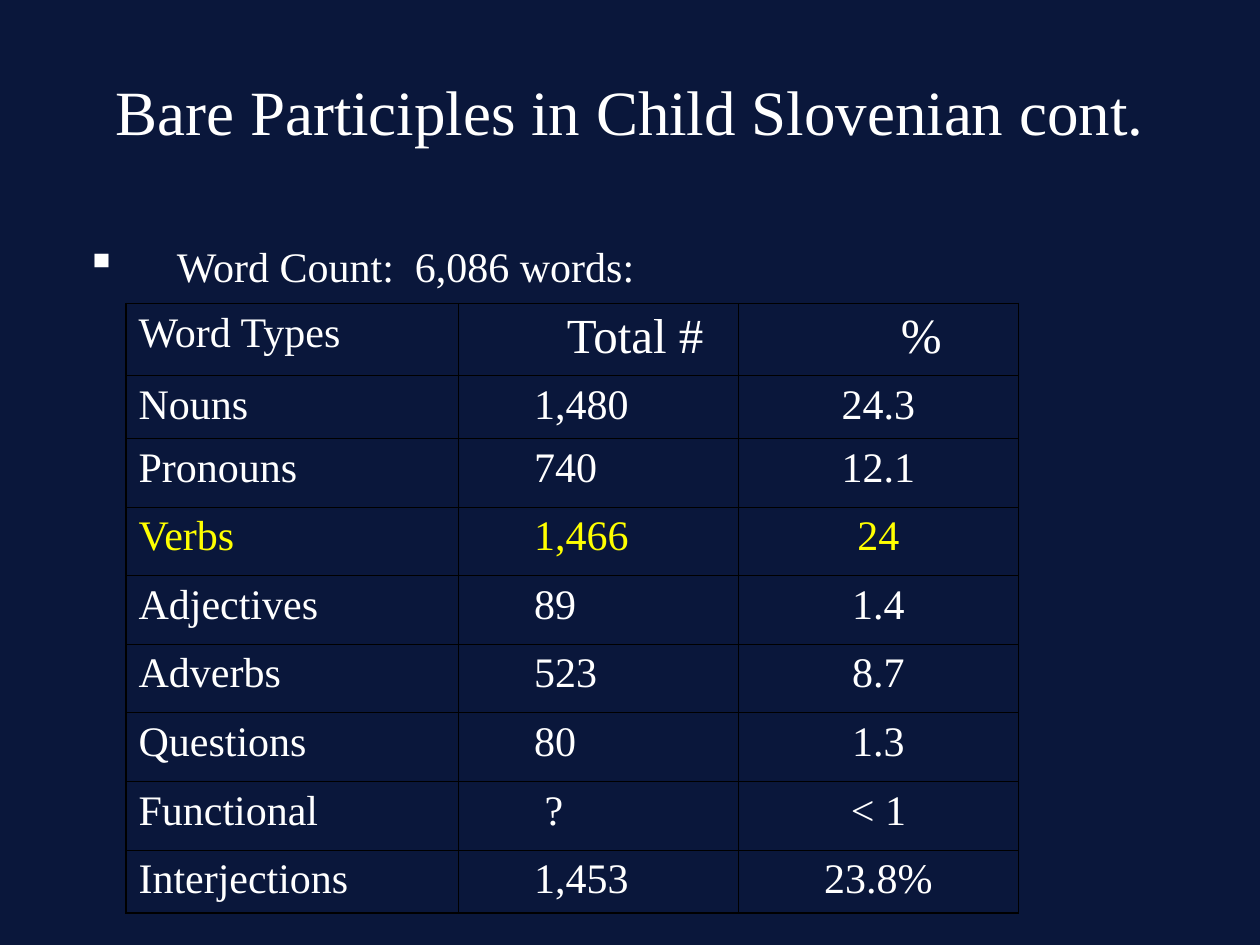
from lxml.etree import SubElement
from pptx import Presentation
from pptx.dml.color import RGBColor
from pptx.enum.text import MSO_ANCHOR, PP_ALIGN
from pptx.oxml.ns import qn
from pptx.util import Pt

COLORS = {"background": "0A173B", "text": "FFFFFF", "highlight": "FFFF00", "border": "000000"}
FONT = "Times New Roman"
THIN, THICK = 0.45, 1.08
COLUMN_WIDTHS = [190, 160, 160]
ROW_HEIGHTS = [41.2, 36] + [39.2] * 6 + [36.2]
NUMBER_INDENT, QUESTION_INDENT = 36, 42
HEADER_INDENTS = [0, 42, 49]

WORD_COUNTS = [
    ("Word Types", "Total #", "%"),
    ("Nouns", "1,480", "24.3"),
    ("Pronouns", "740", "12.1"),
    ("Verbs", "1,466", "24"),
    ("Adjectives", "89", "1.4"),
    ("Adverbs", "523", "8.7"),
    ("Questions", "80", "1.3"),
    ("Functional", "?", "< 1"),
    ("Interjections", "1,453", "23.8%"),
]


def apply_format(target, values):
    for name, value in values.items():
        setattr(target, name, value)


def format_paragraph(paragraph, size, color="text", align=PP_ALIGN.LEFT):
    apply_format(paragraph, {"alignment": align, "space_before": Pt(0)})
    apply_format(paragraph.font, {"name": FONT, "size": Pt(size), "bold": False})
    paragraph.font.color.rgb = RGBColor.from_string(COLORS[color])


def indent_paragraph(paragraph, left, first=0):
    properties = paragraph._p.get_or_add_pPr()
    properties.set("marL", str(Pt(left)))
    properties.set("indent", str(Pt(first)))
    return properties


def add_title(slide, wording):
    title = slide.shapes.title
    apply_format(title, {"left": Pt(54), "top": Pt(36), "width": Pt(612), "height": Pt(54)})
    title.text_frame.text = wording
    apply_format(title.text_frame, {"vertical_anchor": MSO_ANCHOR.MIDDLE, "word_wrap": True})
    format_paragraph(title.text_frame.paragraphs[0], 36, align=PP_ALIGN.CENTER)


def add_bullet_line(slide, wording):
    frame = slide.shapes.add_textbox(Pt(42), Pt(134), Pt(612), Pt(36)).text_frame
    frame.word_wrap = True
    paragraph = frame.paragraphs[0]
    paragraph.text = wording
    properties = indent_paragraph(paragraph, 52, -52)
    bullet_color = SubElement(properties, qn("a:buClr"))
    SubElement(bullet_color, qn("a:srgbClr"), val=COLORS["text"])
    SubElement(properties, qn("a:buChar"), char="▪")
    format_paragraph(paragraph, 24)


def draw_borders(cell, widths):
    properties = cell._tc.get_or_add_tcPr()
    for side, width in widths.items():
        line = SubElement(properties, qn(f"a:ln{side}"), w=str(Pt(width)))
        fill = SubElement(line, qn("a:solidFill"))
        SubElement(fill, qn("a:srgbClr"), val=COLORS["border"])


def border_widths(row, column):
    last_row, last_column = len(ROW_HEIGHTS) - 1, len(COLUMN_WIDTHS) - 1
    outer = {
        "L": column == 0,
        "R": column == last_column,
        "T": row == 0 and column != 1,
        "B": row == last_row,
    }
    return {side: THICK if is_outer else THIN for side, is_outer in outer.items()}


def fill_cell(cell, wording, row, column):
    draw_borders(cell, border_widths(row, column))
    cell.fill.background()
    cell.text = wording
    paragraph = cell.text_frame.paragraphs[0]
    header = row == 0
    if header:
        indent_paragraph(paragraph, HEADER_INDENTS[column])
    elif column == 1:
        indent_paragraph(paragraph, QUESTION_INDENT if wording == "?" else NUMBER_INDENT)
    centred = column == 2 or (header and column == 1)
    format_paragraph(
        paragraph,
        28 if header and column else 24,
        "highlight" if WORD_COUNTS[row][0] == "Verbs" else "text",
        PP_ALIGN.CENTER if centred else PP_ALIGN.LEFT,
    )


def add_word_table(slide):
    table = slide.shapes.add_table(
        len(ROW_HEIGHTS), len(COLUMN_WIDTHS), Pt(72), Pt(173.4),
        Pt(sum(COLUMN_WIDTHS)), Pt(sum(ROW_HEIGHTS)),
    ).table
    apply_format(table, {"first_row": False, "horz_banding": False})
    for column, width in zip(table.columns, COLUMN_WIDTHS):
        column.width = Pt(width)
    for row, height in zip(table.rows, ROW_HEIGHTS):
        row.height = Pt(height)
    for row, entries in enumerate(WORD_COUNTS):
        for column, wording in enumerate(entries):
            fill_cell(table.cell(row, column), wording, row, column)


def main():
    presentation = Presentation()
    apply_format(presentation, {"slide_width": Pt(720), "slide_height": Pt(540)})
    slide = presentation.slides.add_slide(presentation.slide_layouts[5])
    slide.background.fill.solid()
    slide.background.fill.fore_color.rgb = RGBColor.from_string(COLORS["background"])
    add_title(slide, "Bare Participles in Child Slovenian cont.")
    add_bullet_line(slide, "Word Count:  6,086 words:")
    add_word_table(slide)
    presentation.save("out.pptx")


if __name__ == "__main__":
    main()
